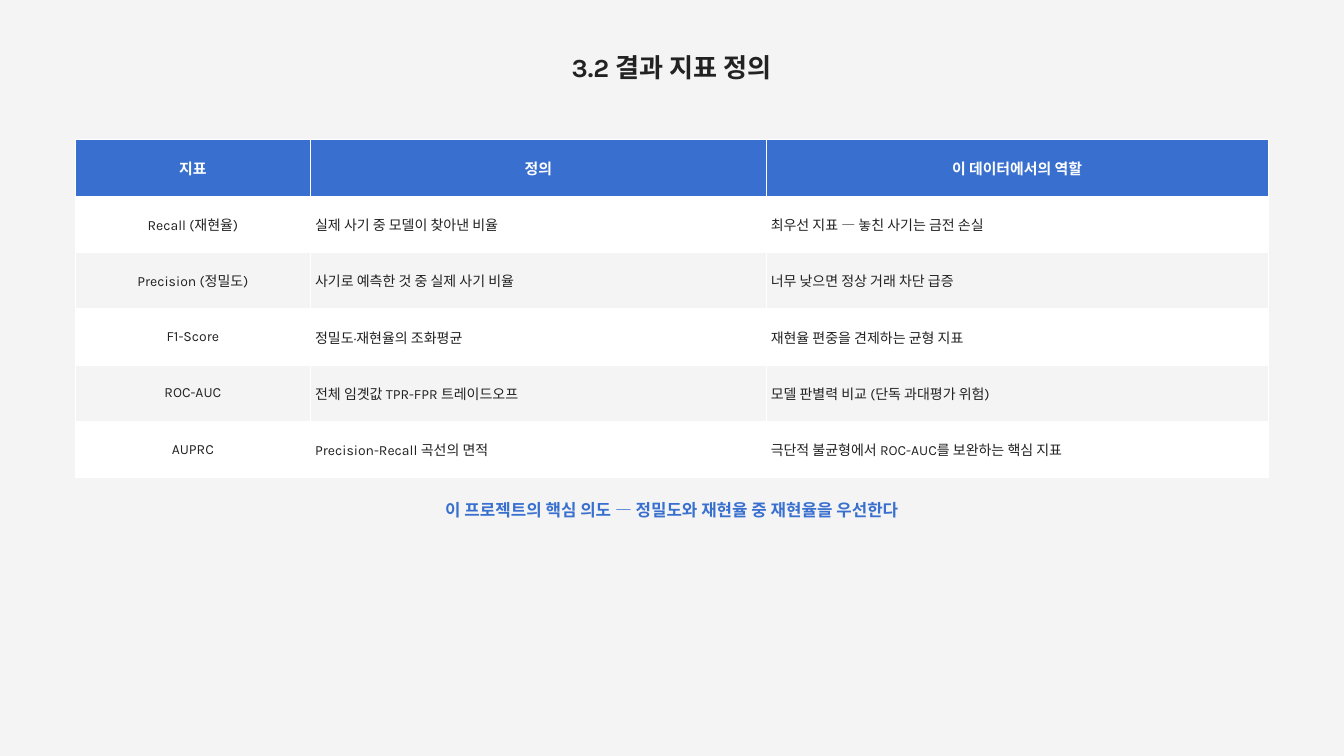
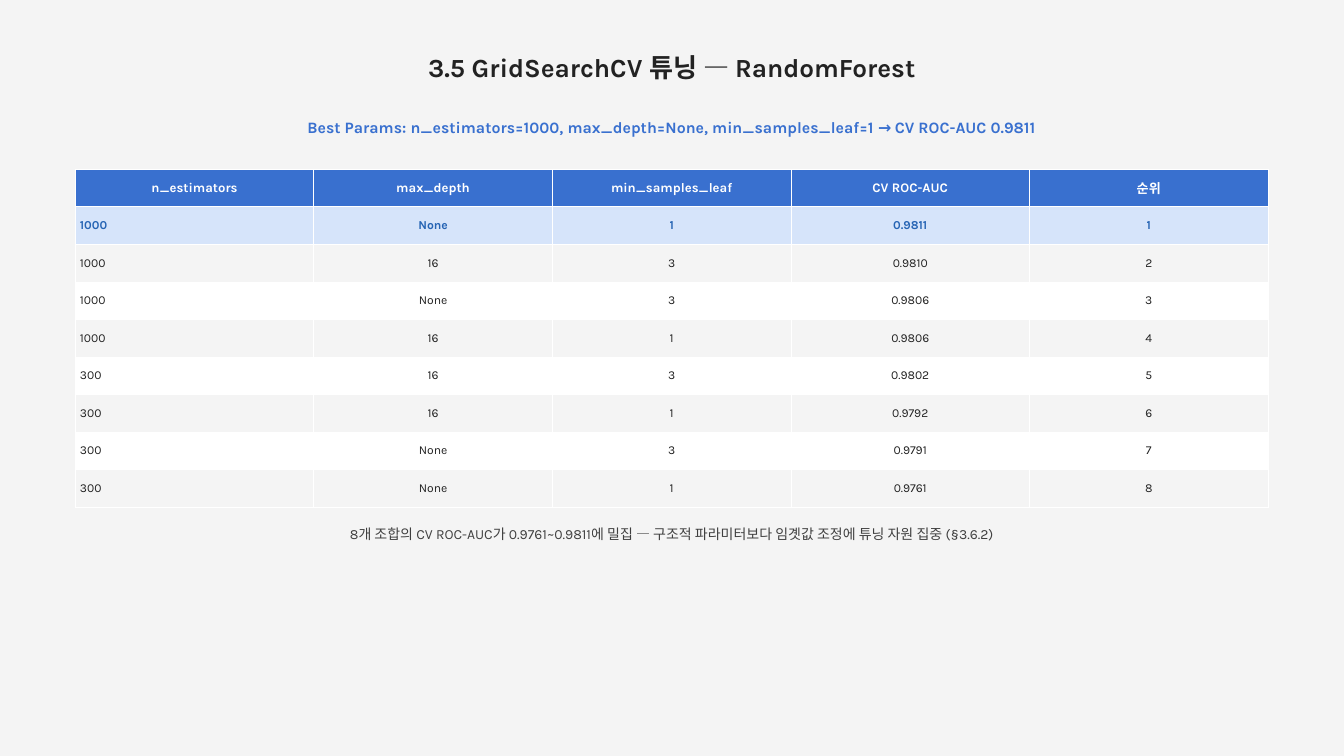
"""Build two slides on metric definitions and grid search tuning."""
from dataclasses import dataclass

from lxml import etree
from pptx import Presentation
from pptx import util as u
from pptx.dml import color as dml
from pptx.enum import text as en
from pptx.oxml import ns


@dataclass(frozen=True)
class Theme:
    """Colours, type sizes and shared measures."""
    font: str = "Karla"
    ink: str = "222222"
    blue: str = "3970CF"
    deep: str = "2664B4"
    pale: str = "D6E4FA"
    white: str = "FFFFFF"
    back: str = "F4F4F4"
    title: int = 28
    key: int = 18
    best: int = 17
    note: int = 15
    left: float = 1.12
    wide: float = 17.75
    high: float = 5.03


T = Theme()

METRICS = [
    ("지표", "정의", "이 데이터에서의 역할"),
    ("Recall (재현율)", "실제 사기 중 모델이 찾아낸 비율", "최우선 지표 — 놓친 사기는 금전 손실"),
    ("Precision (정밀도)", "사기로 예측한 것 중 실제 사기 비율", "너무 낮으면 정상 거래 차단 급증"),
    ("F1-Score", "정밀도·재현율의 조화평균", "재현율 편중을 견제하는 균형 지표"),
    ("ROC-AUC", "전체 임곗값 TPR-FPR 트레이드오프", "모델 판별력 비교 (단독 과대평가 위험)"),
    ("AUPRC", "Precision-Recall 곡선의 면적", "극단적 불균형에서 ROC-AUC를 보완하는 핵심 지표"),
]

TRIALS = [
    ("n_estimators", "max_depth", "min_samples_leaf", "CV ROC-AUC", "순위"),
    ("1000", "None", "1", "0.9811", "1"),
    ("1000", "16", "3", "0.9810", "2"),
    ("1000", "None", "3", "0.9806", "3"),
    ("1000", "16", "1", "0.9806", "4"),
    ("300", "16", "3", "0.9802", "5"),
    ("300", "16", "1", "0.9792", "6"),
    ("300", "None", "3", "0.9791", "7"),
    ("300", "None", "1", "0.9761", "8"),
]


def write(frame, words, size=T.note, color=T.ink, bold=False, center=True, alpha=100):
    """Put one formatted paragraph in a text frame."""
    para = frame.paragraphs[0]
    para.alignment = en.PP_ALIGN.CENTER if center else en.PP_ALIGN.LEFT
    run = para.add_run()
    run.text = words
    font = run.font
    font.name, font.size, font.bold = T.font, u.Pt(size), bold
    font.color.rgb = dml.RGBColor.from_string(color)
    if alpha < 100:
        tint = next(run._r.iter(ns.qn("a:srgbClr")))
        etree.SubElement(tint, ns.qn("a:alpha")).set("val", str(alpha * 1000))


def place(shape, top, high, words, **style):
    """Set a full-width line of text at a given height."""
    shape.left, shape.top = u.Inches(T.left), u.Inches(top)
    shape.width, shape.height = u.Inches(T.wide), u.Inches(high)
    frame = shape.text_frame
    frame.word_wrap = True
    frame.auto_size = en.MSO_AUTO_SIZE.SHAPE_TO_FIT_TEXT
    frame.vertical_anchor = en.MSO_ANCHOR.TOP
    frame.margin_left = frame.margin_right = 0
    frame.margin_top = frame.margin_bottom = 0
    write(frame, words, **style)


def start(deck, title):
    """Add a slide with its title."""
    slide = deck.slides.add_slide(deck.slide_layouts[5])
    place(slide.shapes.title, 0.77, 0.82, title, size=T.title, bold=True)
    return slide


def note(slide, top, words, high=0.66, **style):
    """Add a centred line of text."""
    place(slide.shapes.add_textbox(0, 0, 0, 0), top, high, words, **style)


def grid(slide, top, data, aligns, head, size, widths=(), best=None):
    """Add a banded table, with one row set off as the best."""
    table = slide.shapes.add_table(
        len(data), len(data[0]), u.Inches(T.left), u.Inches(top),
        u.Inches(T.wide), u.Inches(T.high)).table
    for col, width in zip(table.columns, widths):
        col.width = u.Inches(width)
    for i, row in enumerate(data):
        if i == 0:
            fill, style = T.blue, dict(size=head, color=T.white, bold=True)
        elif i == best:
            fill, style = T.pale, dict(size=size, color=T.deep, bold=True)
        else:
            fill, style = (T.white if i % 2 else T.back), dict(size=size)
        for j, words in enumerate(row):
            cell = table.cell(i, j)
            cell.fill.solid()
            cell.fill.fore_color.rgb = dml.RGBColor.from_string(fill)
            cell.vertical_anchor = en.MSO_ANCHOR.MIDDLE
            cell.margin_left = cell.margin_right = u.Inches(0.07)
            cell.margin_top = cell.margin_bottom = u.Inches(0.02)
            write(cell.text_frame, words, center=i == 0 or aligns[j] == "c", **style)


def metrics(deck):
    """Build the slide that defines the metrics."""
    slide = start(deck, "3.2 결과 지표 정의")
    grid(slide, 2.08, METRICS, "cll", head=16, size=15, widths=(3.5, 6.78, 7.47))
    note(slide, 7.44, "이 프로젝트의 핵심 의도 — 정밀도와 재현율 중 재현율을 우선한다",
         size=T.key, color=T.blue, bold=True)


def tuning(deck):
    """Build the slide with the grid search results."""
    slide = start(deck, "3.5 GridSearchCV 튜닝 — RandomForest")
    note(slide, 1.75, "Best Params: n_estimators=1000, max_depth=None, "
         "min_samples_leaf=1 → CV ROC-AUC 0.9811",
         high=0.55, size=T.best, color=T.blue, bold=True)
    grid(slide, 2.52, TRIALS, "lcccc", head=14, size=13, best=1)
    note(slide, 7.82, "8개 조합의 CV ROC-AUC가 0.9761~0.9811에 밀집 — "
         "구조적 파라미터보다 임곗값 조정에 튜닝 자원 집중 (§3.6.2)", alpha=85)


def main():
    """Build and save the deck."""
    deck = Presentation()
    deck.slide_width, deck.slide_height = u.Inches(20), u.Inches(11.25)
    fill = deck.slide_master.background.fill
    fill.solid()
    fill.fore_color.rgb = dml.RGBColor.from_string(T.back)
    metrics(deck)
    tuning(deck)
    deck.save("out.pptx")


if __name__ == "__main__":
    main()
